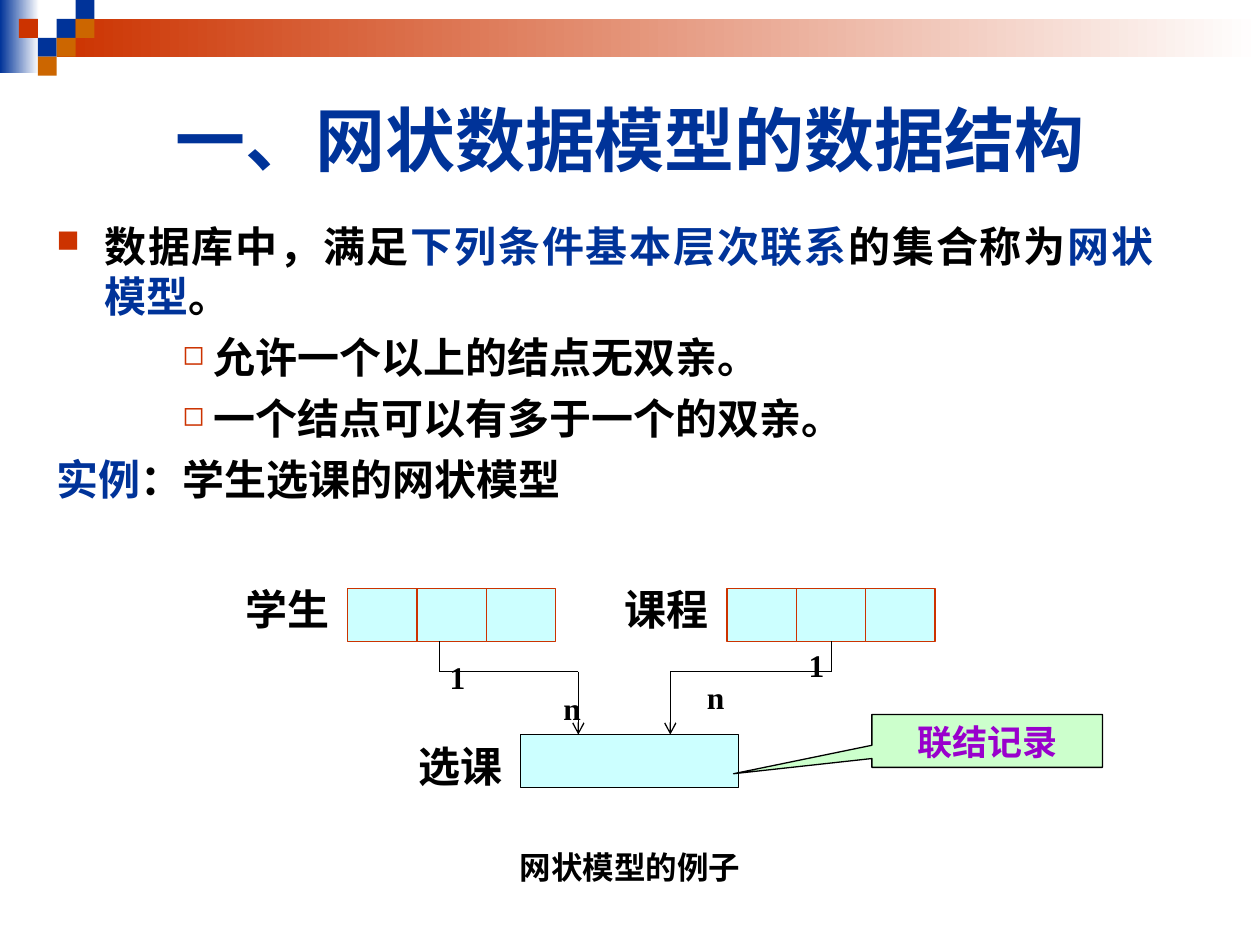
import pptx
import pptx.util
import pptx.dml.color
import pptx.enum.shapes
import pptx.enum.text
import pptx.oxml.ns
from lxml import etree

Inches, Pt = pptx.util.Inches, pptx.util.Pt
SHAPE = pptx.enum.shapes.MSO_SHAPE
ALIGN = pptx.enum.text.PP_ALIGN
ANCHOR = pptx.enum.text.MSO_ANCHOR

BLUE, RED, GOLD = "003399", "CC3300", "CC6600"
BLACK, WHITE, CYAN = "000000", "FFFFFF", "CCFFFF"
SANS, SERIF, HAN = "Arial", "Times New Roman", "Noto Sans CJK SC"


def rgb(code):
    return pptx.dml.color.RGBColor.from_string(code)


def add_tag(parent, tag, **attrs):
    return etree.SubElement(parent, pptx.oxml.ns.qn(tag), **attrs)


def add_box(slide, left, top, width, height, fill, line=None, kind=SHAPE.RECTANGLE):
    box = slide.shapes.add_shape(
        kind, Inches(left), Inches(top), Inches(width), Inches(height))
    box.shadow.inherit = False
    box.fill.solid()
    box.fill.fore_color.rgb = rgb(fill)
    if line:
        box.line.color.rgb = rgb(line)
        box.line.width = Pt(0.75)
    else:
        box.line.fill.background()
    return box


def add_fade(slide, left, top, width, height, start):
    box = add_box(slide, left, top, width, height, start)
    box.fill.gradient()
    box.fill.gradient_angle = 0
    for stop, code in zip(box.fill.gradient_stops, (start, WHITE)):
        stop.color.rgb = rgb(code)


def add_line(slide, start, end, arrow=False):
    line = slide.shapes.add_connector(
        pptx.enum.shapes.MSO_CONNECTOR.STRAIGHT,
        *(Inches(n) for n in (*start, *end)))
    line.line.color.rgb = rgb(BLACK)
    line.line.width = Pt(0.75)
    if arrow:
        add_tag(line.line._get_or_add_ln(), "a:tailEnd", type="arrow")
    add_tag(line._element.spPr, "a:effectLst")


def write(para, *runs, size=24, font=SANS, color=BLACK, align=ALIGN.LEFT,
          before=0, indent=None, bullet=None, scale=100, level=0):
    """Fill a paragraph; a run is a text or a (text, colour) pair."""
    para.alignment = align
    para.level = level
    para.space_before = Pt(before)
    props = para._p.get_or_add_pPr()
    if indent:
        left, first = indent
        props.set("marL", str(Inches(left)))
        props.set("indent", str(Inches(first)))
    if bullet:
        add_tag(add_tag(props, "a:buClr"), "a:srgbClr", val=RED)
        add_tag(props, "a:buSzPct", val=str(scale * 1000))
        add_tag(props, "a:buChar", char=bullet)
    for item in runs:
        words, shade = (item, color) if isinstance(item, str) else item
        run = para.add_run()
        run.text = words
        run.font.size = Pt(size)
        run.font.bold = True
        run.font.name = font
        run.font.color.rgb = rgb(shade)
        add_tag(run._r.get_or_add_rPr(), "a:ea", typeface=HAN)


def add_text(slide, left, top, width, height, anchor=ANCHOR.TOP):
    box = slide.shapes.add_textbox(
        Inches(left), Inches(top), Inches(width), Inches(height))
    frame = box.text_frame
    frame.word_wrap = True
    frame.vertical_anchor = anchor
    return frame


def add_label(slide, left, top, width, height, words, **style):
    write(add_text(slide, left, top, width, height).paragraphs[0], words, **style)


def add_header(slide):
    add_fade(slide, 0, 0, 0.31, 0.58, BLUE)
    add_fade(slide, 0.45, 0.15, 9.55, 0.3, RED)
    side = 0.15
    tiles = [(3, 1, BLUE), (4, 0, BLUE), (4, 1, GOLD), (2, 2, BLUE),
             (1, 1, RED), (3, 2, GOLD), (2, 3, GOLD)]
    for col, row, color in tiles:
        add_box(slide, col * side, row * side, side, side, color)


def add_body(slide):
    frame = add_text(slide, 0.35, 1.7, 8.9, 2.64)
    hang = (0.38, -0.38)
    write(frame.paragraphs[0], "数据库中，满足", ("下列条件基本层次联系", BLUE),
          "的集合称为", ("网状模型", BLUE), "。", font=HAN,
          align=ALIGN.JUSTIFY, indent=hang, bullet="■", scale=75)
    for words in ("允许一个以上的结点无双亲。", "一个结点可以有多于一个的双亲。"):
        write(frame.add_paragraph(), words, font=HAN, align=ALIGN.JUSTIFY, before=6,
              indent=(1.25, -0.25), bullet="◻", scale=65, level=2)
    write(frame.add_paragraph(), ("实例", BLUE), "：学生选课的网状模型",
          font=HAN, before=6, indent=hang)


def add_model(slide):
    # Records
    cell, high, top, low = 0.55, 0.42, 4.67, 5.83
    for left in (2.76, 5.77):
        for col in range(3):
            add_box(slide, left + col * cell, top, cell, high, CYAN, RED)
    add_box(slide, 4.13, low, 1.73, high, CYAN, BLACK)
    for left, y, words in ((1.85, 4.58, "学生"), (4.86, 4.58, "课程"),
                           (3.22, low, "选课")):
        add_label(slide, left, y, 1.19, 0.5, words)

    # Links from the upper records down to the lower one
    bend = 5.33
    for start, end in ((3.49, 4.59), (6.6, 5.32)):
        add_line(slide, (start, top + high), (start, bend))
        add_line(slide, (start, bend), (end, bend))
        add_line(slide, (end, bend), (end, low), arrow=True)

    # Caption, callout and link counts
    small = dict(size=18, font=SERIF, align=ALIGN.CENTER)
    add_label(slide, 2.75, 6.68, 4.5, 0.4, "网状模型的例子", **small)
    note = add_box(slide, 6.92, 5.67, 1.83, high, "CCFFCC", BLACK,
                   SHAPE.RECTANGULAR_CALLOUT)
    note.adjustments[0], note.adjustments[1] = -1.1, 0.62
    note.text_frame.vertical_anchor = ANCHOR.TOP
    write(note.text_frame.paragraphs[0], "联结记录", size=20,
          color="9900CC", align=ALIGN.CENTER)
    for left, y, width, words in ((3.42, 5.17, 0.42, "1"), (4.33, 5.42, 0.42, "n"),
                                  (6.3, 5.08, 0.36, "1"), (5.5, 5.33, 0.36, "n")):
        add_label(slide, left, y, width, 0.4, words, **small)


def main():
    deck = pptx.Presentation()
    deck.slide_width, deck.slide_height = Inches(10), Inches(7.5)
    slide = deck.slides.add_slide(deck.slide_layouts[6])
    add_header(slide)
    title = add_text(slide, 0.5, 0.5, 9, 1.2, ANCHOR.MIDDLE)
    write(title.paragraphs[0], "一、网状数据模型的数据结构", size=40,
          font=SERIF, color=BLUE, align=ALIGN.CENTER)
    add_body(slide)
    add_model(slide)
    deck.save("out.pptx")


if __name__ == "__main__":
    main()
